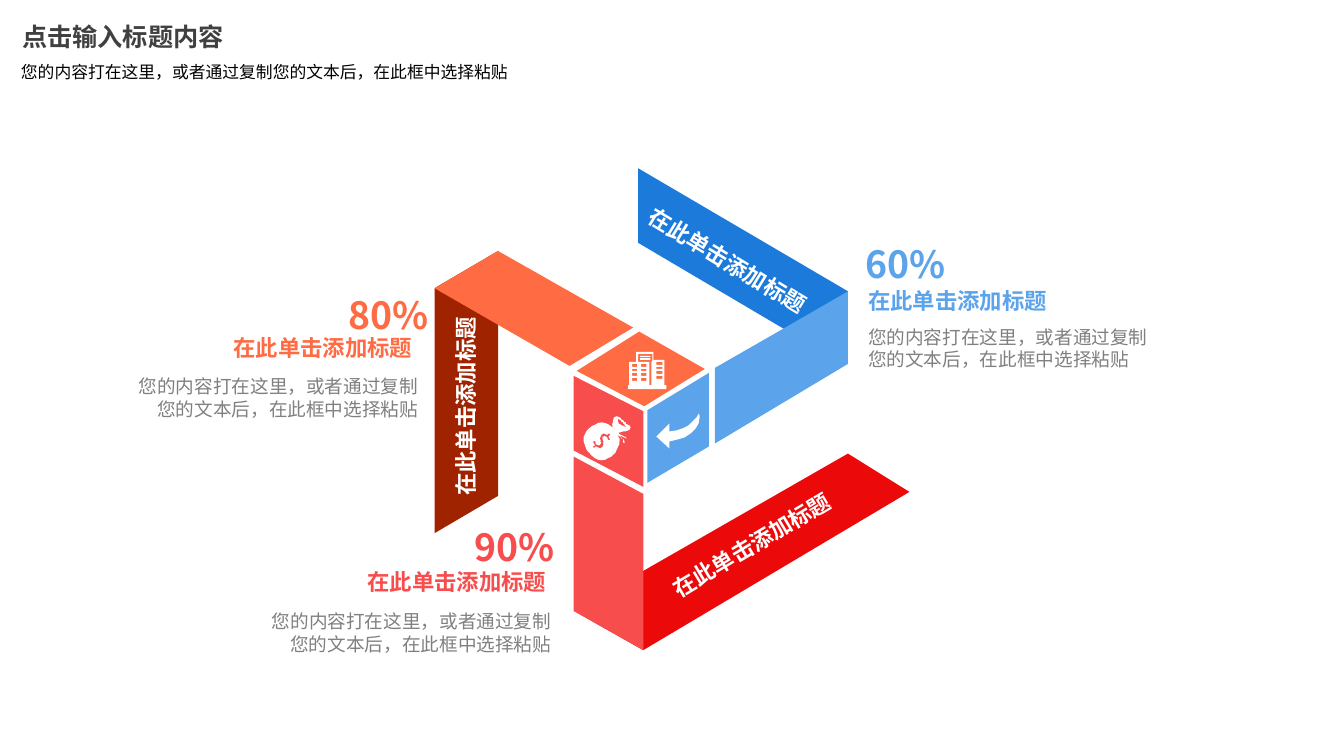
from pptx import Presentation
from pptx.dml.color import RGBColor
from pptx.enum.text import MSO_ANCHOR as ANCHOR, MSO_AUTO_SIZE as AUTO, PP_ALIGN as ALIGN
from pptx.util import Inches, Pt

FONT = "Noto Sans CJK SC"
WHITE = RGBColor(0xFF, 0xFF, 0xFF)
BLACK = RGBColor(0x00, 0x00, 0x00)
DARK = RGBColor(0x40, 0x40, 0x40)
GRAY = RGBColor(0x80, 0x80, 0x80)
RUST = RGBColor(0xA0, 0x23, 0x00)
ORANGE = RGBColor(0xFF, 0x6B, 0x42)
BLUE = RGBColor(0x1B, 0x7A, 0xDA)
SKY = RGBColor(0x5B, 0xA3, 0xEB)
RED = RGBColor(0xEB, 0x09, 0x09)
CORAL = RGBColor(0xF8, 0x4D, 0x4D)

# The slide is a grid of 1333 columns by 750 rows
CELL = Inches(0.01)
STEPS = 6  # straight pieces per curve

HEADING = "在此单击添加标题"
BODY = "您的内容打在这里，或者通过复制您的文本后，在此框中选择粘贴"

prs = Presentation()
prs.slide_width = 1333 * CELL
prs.slide_height = 750 * CELL
slide = prs.slides.add_slide(prs.slide_layouts[6])


def add_outline(contours, color, rotation=0):
    """Fill closed contours; a 2-tuple is a corner, a 6-tuple a cubic curve."""
    fb = None
    for start, *segments in contours:
        points, last = [], start
        for seg in segments:
            if len(seg) == 2:
                points.append(seg)
            else:
                x1, y1, x2, y2, x3, y3 = seg
                for i in range(1, STEPS + 1):
                    t = i / STEPS
                    u = 1 - t
                    a, b, c, d = u ** 3, 3 * u * u * t, 3 * u * t * t, t ** 3
                    points.append((a * last[0] + b * x1 + c * x2 + d * x3,
                                   a * last[1] + b * y1 + c * y2 + d * y3))
            last = seg[-2:]
        if fb is None:
            fb = slide.shapes.build_freeform(*start, scale=CELL)
        else:
            fb.move_to(*start)
        fb.add_line_segments(points, close=True)
    s = fb.convert_to_shape()
    s.shadow.inherit = False
    s.fill.solid()
    s.fill.fore_color.rgb = color
    s.line.fill.background()
    s.rotation = rotation


def add_text(words, box, size, color, bold=False, align=ALIGN.LEFT, anchor=ANCHOR.MIDDLE,
             rotation=0, wrap=False, inset=(0, 0), auto=AUTO.SHAPE_TO_FIT_TEXT):
    tb = slide.shapes.add_textbox(*[n * CELL for n in box])
    tb.rotation = rotation
    tf = tb.text_frame
    tf.margin_left = tf.margin_right = inset[0] * CELL
    tf.margin_top = tf.margin_bottom = inset[1] * CELL
    tf.word_wrap = wrap
    tf.auto_size = auto
    tf.vertical_anchor = anchor
    p = tf.paragraphs[0]
    p.text = words
    p.alignment = align
    p.font.name = FONT
    p.font.size = Pt(size)
    p.font.bold = bold
    p.font.color.rgb = color


# Ribbons, then the three faces of the cube
faces = [
    (RUST, [(494, 249), (494, 492), (431, 529), (431, 286)]),
    (ORANGE, [(494, 249), (628, 325), (565, 363), (431, 286)]),
    (BLUE, [(777, 326), (633, 241), (633, 167), (841, 289), (841, 361)]),
    (SKY, [(777, 326), (841, 289), (841, 361), (709, 440), (709, 365)]),
    (RED, [(841, 450), (902, 488), (638, 645), (569, 606)]),
    (CORAL, [(569, 606), (569, 453), (638, 490), (638, 645)]),
    (CORAL, [(638, 408), (638, 483), (569, 447), (569, 373)]),
    (ORANGE, [(699, 366), (639, 403), (572, 368), (634, 329)]),
    (SKY, [(703, 370), (703, 443), (642, 479), (642, 407)]),
]
for color, corners in faces:
    add_outline([corners], color)

# Money bag: outline, knot opening, dollar sign
bag = [
    (616, 436), (616, 432, 614, 429, 611, 426), (611, 426, 612, 427, 612, 427),
    (614, 427, 618, 428, 618, 430), (618, 431, 620, 431, 620, 431),
    (620, 429, 618, 428, 616, 428), (615, 427, 613, 427, 611, 425),
    (612, 426, 612, 426, 613, 426), (615, 426, 617, 425, 619, 426),
    (620, 426, 621, 426, 620, 426), (619, 425, 618, 425, 617, 425),
    (616, 425, 615, 425, 614, 425), (613, 426, 611, 425, 610, 424),
    (614, 422, 619, 418, 619, 415), (619, 414, 618, 413, 616, 413),
    (615, 414, 613, 413, 612, 412), (611, 412, 610, 412, 610, 411),
    (609, 411, 609, 411, 608, 411), (606, 410, 604, 409, 602, 410),
    (600, 411, 599, 417, 603, 422), (593, 419, 588, 424, 584, 429),
    (581, 433, 580, 438, 581, 443), (582, 447, 587, 452, 591, 454),
    (602, 459, 608, 457, 612, 451), (616, 447, 617, 441, 616, 436),
]
knot = [
    (609, 413), (609, 413, 610, 413, 610, 413), (611, 414, 611, 414, 612, 414),
    (613, 415, 614, 415, 615, 415), (614, 416, 613, 416, 613, 416),
    (608, 416, 605, 417, 604, 412), (606, 411, 607, 412, 609, 413),
]
dollar = [
    (596, 446), (595, 448), (593, 448), (595, 445), (593, 445, 592, 444, 591, 443),
    (593, 441), (593, 442, 594, 443, 596, 444), (597, 445, 599, 444, 599, 443),
    (600, 442, 599, 440, 598, 439), (596, 437, 595, 435, 596, 433),
    (597, 431, 599, 430, 601, 431), (602, 429), (604, 429), (603, 432),
    (604, 432, 605, 433, 606, 434), (604, 435), (604, 435, 603, 434, 602, 433),
    (600, 432, 599, 433, 598, 434), (598, 435, 598, 436, 600, 438),
    (602, 440, 602, 442, 602, 444), (601, 446, 599, 447, 596, 446),
]
add_outline([bag, knot, dollar], WHITE, rotation=25.3)

# Office building with its windows left open
building = [
    [(631, 349), (648, 349), (648, 357), (659, 357), (659, 382), (661, 382), (661, 386),
     (623, 386), (623, 382), (624, 382), (624, 359), (631, 359)],
    [(633, 351), (633, 359), (644, 359), (644, 382), (646, 382), (646, 359), (647, 358),
     (647, 351)],
]
openings = [(635, 353, 10, 1), (635, 355, 10, 2)]
for left, top, width in [(627, 361, 5), (636, 361, 5), (651, 359, 6)]:
    openings += [(left, top + 14 * row / 3, width, 2.5) for row in range(4)]
for x, y, w, h in openings:
    building.append([(x, y), (x + w, y), (x + w, y + h), (x, y + h)])
add_outline(building, WHITE)

# Curved arrow
add_outline([[(664, 438), (664, 445), (651, 433), (664, 420), (664, 428),
              (678, 427, 690, 419, 693, 410), (693, 411, 694, 413, 694, 414),
              (694, 426, 681, 436, 664, 438)]], WHITE)

# Figure, heading and description beside each ribbon
blocks = [
    ("60%", SKY, ALIGN.LEFT, HEADING, (858, 239), (861, 285), (861, 323)),
    ("80%", ORANGE, ALIGN.RIGHT, HEADING + " ", (345, 289), (225, 331), (131, 372)),
    ("90%", CORAL, ALIGN.RIGHT, HEADING + " ", (470, 519), (358, 563), (263, 605)),
]
for share, color, align, heading, share_at, heading_at, body_at in blocks:
    add_text(share, (*share_at, 81, 45), 26.7, color, True, ALIGN.CENTER, ANCHOR.BOTTOM)
    add_text(heading, (*heading_at, 189, 27), 16, color, True, align)
    add_text(BODY, (*body_at, 284, 45), 13.3, GRAY, align=align, wrap=True)

# Labels along the ribbons
for left, top, angle in [(656, 524, 329.1), (632, 248, 31.2), (367, 384, 270)]:
    add_text(HEADING, (left, top, 189, 27), 16, WHITE, True, rotation=angle)

# Slide title and subtitle
add_text("点击输入标题内容", (22, 15, 233, 42), 18, DARK, True, wrap=True, inset=(0, 5),
         auto=AUTO.NONE)
add_text(BODY, (11, 56, 667, 30), 12, BLACK, anchor=ANCHOR.TOP, wrap=True, inset=(10, 5))

prs.save("out.pptx")
